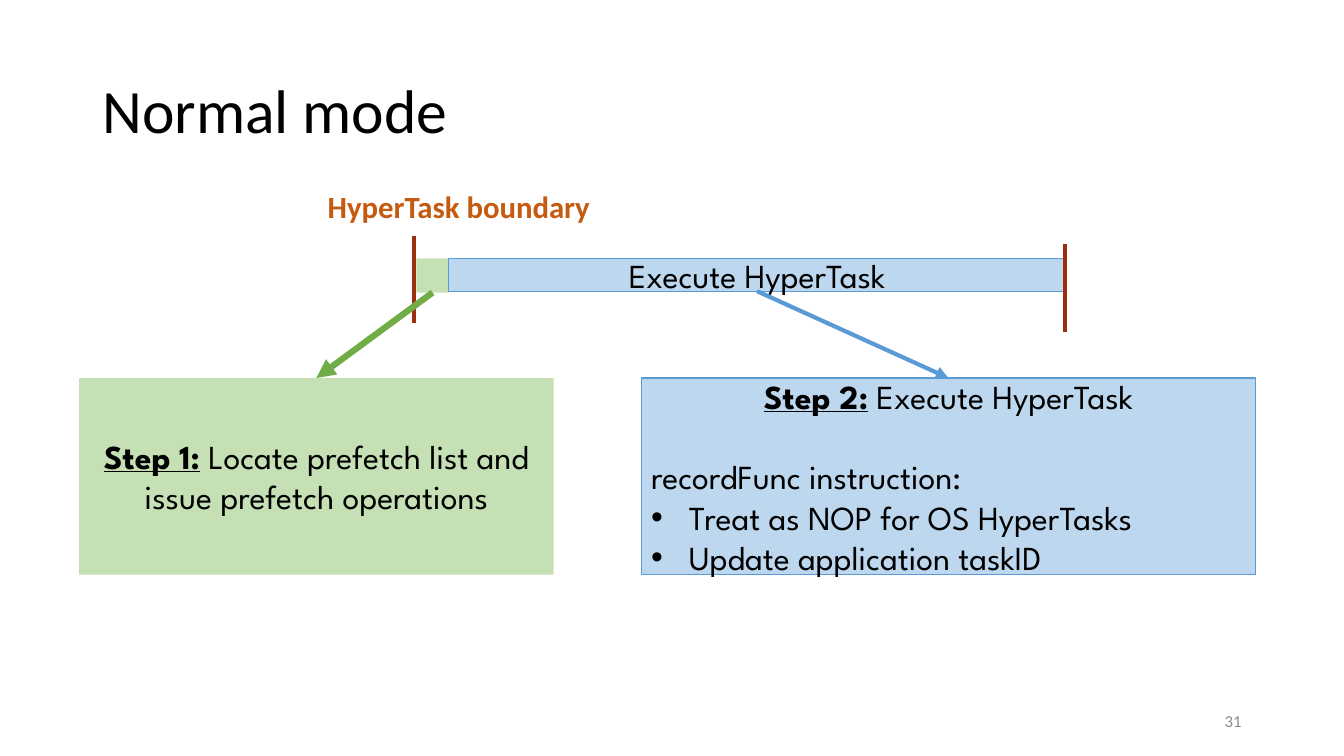
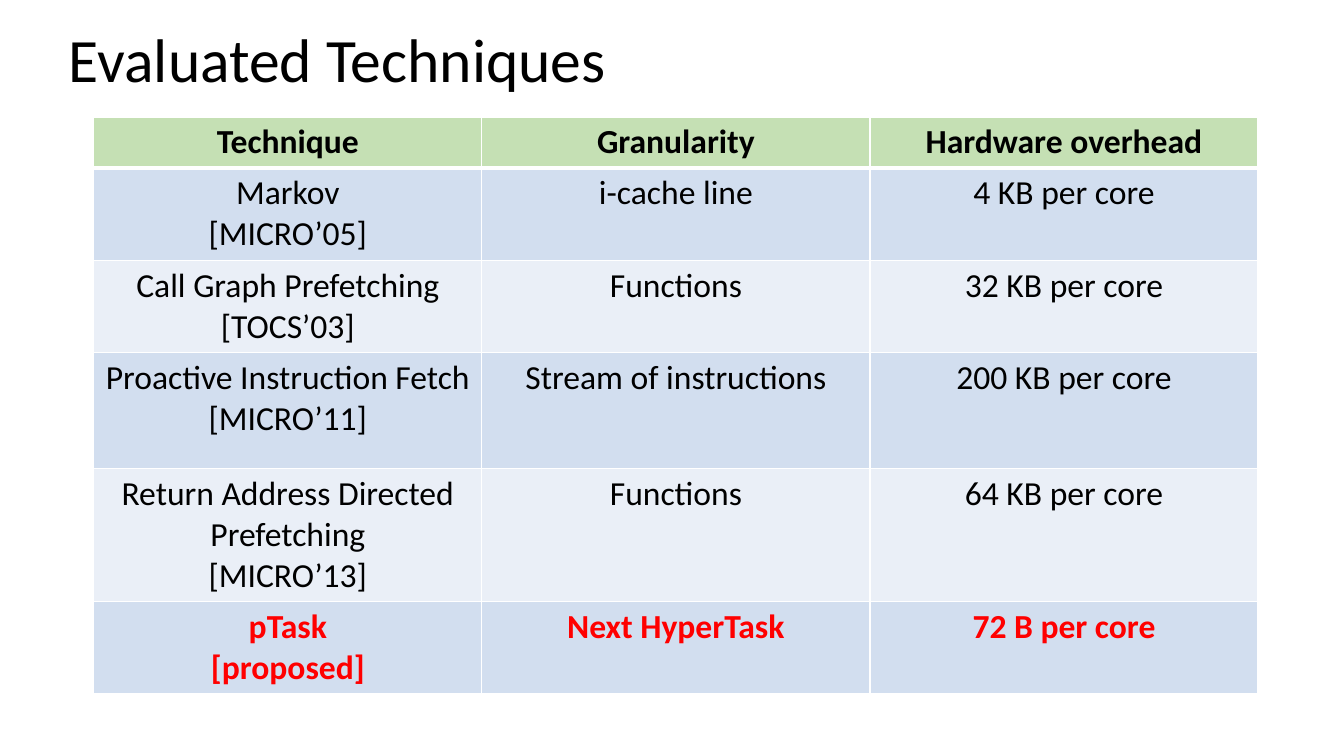
from lxml import etree
from pptx import Presentation
from pptx.dml.color import RGBColor
from pptx.enum import shapes, text
from pptx.oxml import ns
from pptx.util import Pt

BODY, DIAGRAM = "Calibri", "League Spartan"
BLACK, WHITE, RED, GREY = "000000", "FFFFFF", "FF0000", "8C8C8C"
GREEN, GREEN_ARROW = "C5E0B4", "70AD47"
BLUE, BLUE_LINE = "BDD7EE", "5B9BD5"
BOUNDARY, BOUNDARY_LABEL = "9D2D0F", "C55A11"
BANDS = ("D2DEEF", "EAEFF7")
LEFT, CENTER, RIGHT = text.PP_ALIGN.LEFT, text.PP_ALIGN.CENTER, text.PP_ALIGN.RIGHT
MIDDLE = text.MSO_ANCHOR.MIDDLE

TECHNIQUES = [
    ("Technique", "Granularity", "Hardware overhead"),
    ("Markov\n[MICRO’05]", "i-cache line", "4 KB per core"),
    ("Call Graph Prefetching\n[TOCS’03]", "Functions", "32 KB per core"),
    ("Proactive Instruction Fetch [MICRO’11]", "Stream of instructions", "200 KB per core"),
    ("Return Address Directed Prefetching\n[MICRO’13]", "Functions", "64 KB per core"),
    ("pTask\n[proposed]", "Next HyperTask", "72 B per core"),
]
ROW_HEIGHTS = (34.5, 62, 62, 83, 75, 62)


def rgb(hex_colour):
    return RGBColor.from_string(hex_colour)


def points(values):
    return [Pt(value) for value in values]


def assign(target, values):
    for attribute, value in values.items():
        setattr(target, attribute, value)


def style(font, size, colour=BLACK, name=BODY, **extra):
    assign(font, {"name": name, "size": Pt(size), **extra})
    font.color.rgb = rgb(colour)


def add_xml(parent, tag, **attributes):
    child = etree.SubElement(parent, ns.qn(tag))
    assign_attributes = attributes.items()
    for key, value in assign_attributes:
        child.set(key, str(value))
    return child


def write(frame, paragraphs, align=LEFT, **font):
    """Fill a frame; each paragraph is a string or a list of (text, font changes)."""
    for index, runs in enumerate(paragraphs):
        paragraph = frame.add_paragraph() if index else frame.paragraphs[0]
        paragraph.alignment = align
        if isinstance(runs, str):
            runs = [(runs, {})]
        for words, changes in runs:
            run = paragraph.add_run()
            run.text = words
            style(run.font, **{**font, **changes})


def add_title_slide(prs, title, box):
    slide = prs.slides.add_slide(prs.slide_layouts[5])
    heading = slide.shapes.title
    assign(heading, dict(zip(("left", "top", "width", "height"), points(box))))
    assign(heading.text_frame, {"vertical_anchor": MIDDLE, "word_wrap": True,
                                "auto_size": text.MSO_AUTO_SIZE.NONE})
    write(heading.text_frame, [title], size=44)
    heading.text_frame.paragraphs[0].line_spacing = 0.9
    return slide


def add_label(slide, box, words, align=LEFT, wrap=True, **font):
    frame = slide.shapes.add_textbox(*points(box)).text_frame
    assign(frame, {"word_wrap": wrap, "vertical_anchor": MIDDLE})
    write(frame, [words], align, **font)


def add_block(slide, box, fill, line=None, paragraphs=()):
    block = slide.shapes.add_shape(shapes.MSO_SHAPE.RECTANGLE, *points(box))
    block.shadow.inherit = False
    block.fill.solid()
    block.fill.fore_color.rgb = rgb(fill)
    if line:
        block.line.color.rgb = rgb(line)
        block.line.width = Pt(0.75)
    else:
        block.line.fill.background()
    assign(block.text_frame, {"word_wrap": True, "vertical_anchor": MIDDLE})
    write(block.text_frame, paragraphs, CENTER, size=24, name=DIAGRAM)
    return block


def add_line(slide, ends, colour, width):
    line = slide.shapes.add_connector(shapes.MSO_CONNECTOR.STRAIGHT, *points(ends))
    line.line.color.rgb = rgb(colour)
    line.line.width = Pt(width)
    add_xml(line._element.spPr, "a:effectLst")
    return line


def add_arrow(slide, source, target, colour, width):
    """Join the bottom of source to the top of target."""
    arrow = add_line(slide, (0, 0, 0, 0), colour, width)
    arrow.begin_connect(source, 2)
    arrow.end_connect(target, 0)
    add_xml(arrow.line._get_or_add_ln(), "a:tailEnd", type="triangle")


def add_bullet(paragraph, indent=27):
    properties = paragraph._p.get_or_add_pPr()
    properties.set("marL", str(Pt(indent)))
    properties.set("indent", str(-Pt(indent)))
    add_xml(properties, "a:buFont", typeface="Arial")
    add_xml(properties, "a:buChar", char="•")


def format_cell(cell, fill, bottom_width):
    properties = cell._tc.get_or_add_tcPr()
    for side, width in (("L", 1), ("R", 1), ("T", 1), ("B", bottom_width)):
        border = add_xml(properties, f"a:ln{side}", w=Pt(width))
        add_xml(add_xml(border, "a:solidFill"), "a:srgbClr", val=WHITE)
    cell.fill.solid()
    cell.fill.fore_color.rgb = rgb(fill)


def add_techniques_table(slide, left, top, column_width):
    last = len(TECHNIQUES) - 1
    columns = len(TECHNIQUES[0])
    table = slide.shapes.add_table(
        len(TECHNIQUES), columns,
        *points((left, top, column_width * columns, sum(ROW_HEIGHTS)))).table
    for column in table.columns:
        column.width = Pt(column_width)
    for number, (entries, height) in enumerate(zip(TECHNIQUES, ROW_HEIGHTS)):
        table.rows[number].height = Pt(height)
        header = number == 0
        fill = GREEN if header else BANDS[(number - 1) % 2]
        for cell, entry in zip(table.rows[number].cells, entries):
            format_cell(cell, fill, 3 if header else 1)
            write(cell.text_frame, entry.split("\n"), CENTER, size=24,
                  bold=number in (0, last), colour=RED if number == last else BLACK)


def build_normal_mode(prs):
    slide = add_title_slide(prs, "Normal mode", (66, 29, 828, 104))
    add_label(slide, (678, 500.5, 216, 29), "31", RIGHT, size=12, colour=GREY)

    step_mark = {"bold": True, "underline": True}
    prefetch_step = add_block(slide, (56.5, 270, 339, 140.5), GREEN, paragraphs=[
        [("Step 1:", step_mark), (" Locate prefetch list and issue prefetch operations", {})]])
    execute_step = add_block(slide, (458, 270, 439, 140.5), BLUE, BLUE_LINE, [
        [("Step 2:", step_mark), (" Execute HyperTask", {})],
        "recordFunc instruction:",
        "Treat as NOP for OS HyperTasks",
        "Update application taskID"])
    instruction, *effects = execute_step.text_frame.paragraphs[1:]
    assign(instruction, {"alignment": LEFT, "space_before": Pt(28.8)})
    for effect in effects:
        effect.alignment = LEFT
        add_bullet(effect)

    prefetch_bar = add_block(slide, (297.5, 184.5, 23, 24.5), GREEN)
    execute_bar = add_block(slide, (320.5, 184.5, 440.5, 23.5), BLUE, BLUE_LINE,
                            ["Execute HyperTask"])
    for x, top in ((296, 168.5), (761, 174.5)):
        add_line(slide, (x, top, x, top + 62.5), BOUNDARY, 3)
    add_label(slide, (227, 130, 204, 34), "HyperTask boundary", wrap=False,
              size=22, colour=BOUNDARY_LABEL, bold=True)
    add_arrow(slide, prefetch_bar, prefetch_step, GREEN_ARROW, 4.5)
    add_arrow(slide, execute_bar, execute_step, BLUE_LINE, 3)


def build_evaluated_techniques(prs):
    slide = add_title_slide(prs, "Evaluated Techniques", (42, -7.5, 828, 104))
    add_techniques_table(slide, 67, 83.5, 277.2)


def main():
    prs = Presentation()
    assign(prs, {"slide_width": Pt(960), "slide_height": Pt(540)})
    build_normal_mode(prs)
    build_evaluated_techniques(prs)
    prs.save("out.pptx")


if __name__ == "__main__":
    main()
